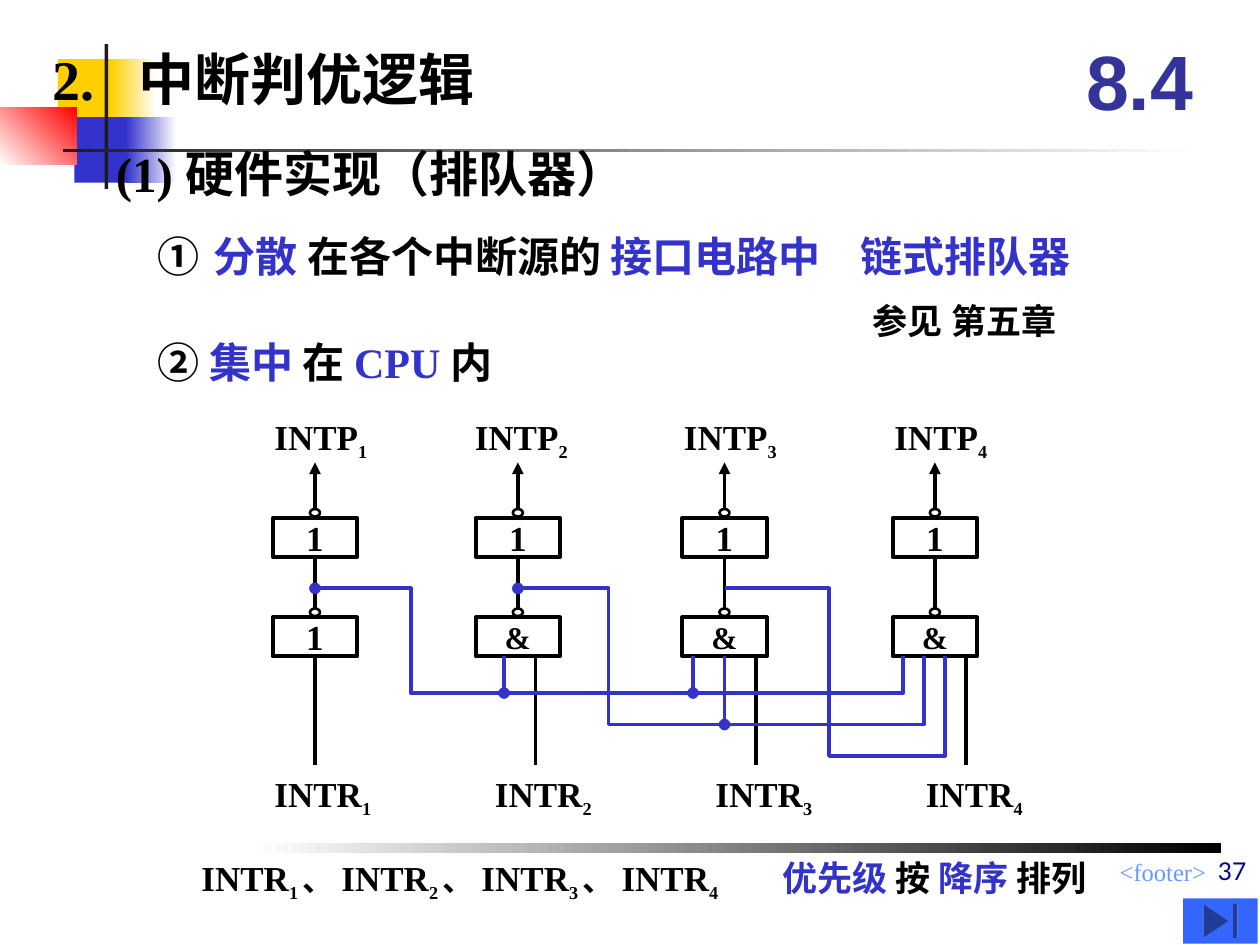
import pptx
import pptx.util
import pptx.dml.color
import pptx.enum.shapes
import pptx.enum.text
import pptx.oxml
import pptx.oxml.ns

Inches = pptx.util.Inches
PRESET = pptx.enum.shapes.MSO_SHAPE
ALIGN = pptx.enum.text.PP_ALIGN
ANCHOR = pptx.enum.text.MSO_ANCHOR
SERIF = "Times New Roman"
BLACK, BLUE, DARK, WHITE, GOLD = "000000", "3333CC", "1C1C1C", "FFFFFF", "FFCF01"

# left, top, width, height, colours, angle
DECOR = [
    (0.46, 0.47, 0.48, 0.52, [GOLD], None),
    (0.88, 0.47, 0.36, 0.52, [WHITE, GOLD], 180),
    (0.59, 0.93, 0.46, 0.52, [BLUE], None),
    (1, 0.93, 0.4, 0.52, [WHITE, BLUE], 180),
    (0, 0.85, 0.61, 0.46, ["FF0000", WHITE], 135),
    (0.83, 0.35, 0.03, 1.15, [DARK], None),
    (0.5, 1.18, 9, 0.03, [WHITE, DARK], 180),
    (2.02, 6.69, 7.67, 0.08, [BLACK, WHITE], 180),
]

HEADINGS = [
    ((0.42, 0.33, 4.25, 0.58), 0.68, [("2.\t中断判优逻辑", 32, BLACK)]),
    ((1.25, 1.67, 8.25, 0.58), 5.58, [
        ("①", 24, BLACK), (" ", 36, BLACK), ("分散 ", 24, BLUE),
        ("在各个中断源的 ", 24, BLACK), ("接口电路中\t链式排队器", 24, BLUE)]),
    ((1.25, 2.58, 5.75, 0.58), None, [
        ("② ", 24, BLACK), ("集中 ", 24, BLUE), ("在 ", 24, BLACK),
        ("CPU ", 24, BLUE), ("内", 24, BLACK)]),
    ((0.92, 1.08, 5.75, 0.58), None, [("(1) 硬件实现（排队器）", 28, BLACK)]),
]

# centre, input, lower gate, grant label left, request label left
CHANNELS = [
    (2.5, 2.5, "1", 2.08, 2.08),
    (4.11, 4.25, "&", 3.67, 3.83),
    (5.75, 6, "&", 5.33, 5.58),
    (7.42, 7.67, "&", 7, 7.25),
]
GATE_W, GATE_H = 0.67, 0.31
UPPER_Y, LOWER_Y = 4.11, 4.9
BUBBLE_W, BUBBLE_H = 0.08, 0.06
GRANT_Y, REQUEST_Y, INPUT_END = 3.25, 6.08, 6.07
TAP_Y, GATE_BOTTOM = 4.67, 5.21

# start, turn, bus level, end, dot at the start, branches
INHIBIT_WIRES = [
    (2.5, 3.26, 5.5, 7.17, True, [4, 5.5]),
    (4.11, 4.83, 5.75, 7.33, True, [5.75]),
    (5.75, 6.58, 6, 7.5, False, []),
]


def color(hex_text):
    return pptx.dml.color.RGBColor.from_string(hex_text)


def paint(part, colors, angle=None):
    part.shadow.inherit = False
    part.line.fill.background()
    if len(colors) == 1:
        part.fill.solid()
        part.fill.fore_color.rgb = color(colors[0])
        return
    part.fill.gradient()
    part.fill.gradient_angle = 360 - angle
    for stop, hex_text in zip(part.fill.gradient_stops, colors):
        stop.color.rgb = color(hex_text)


def stroke(part, hex_text, width, head=None, tail=None):
    part.line.color.rgb = color(hex_text)
    part.line.width = pptx.util.Pt(width)
    ln = part.line._get_or_add_ln()
    for tag, kind in (("a:headEnd", head), ("a:tailEnd", tail)):
        if kind:
            end = pptx.oxml.ns.qn(tag)
            ln.makeelement(end)
            pptx.oxml.parse_xml  # noqa
            ln.append(ln.makeelement(end, {"type": kind}))


def write(frame, runs, align=ALIGN.LEFT, anchor=ANCHOR.TOP, font=SERIF,
          bold=True, tab=None, side=0.1):
    frame.word_wrap = True
    frame.vertical_anchor = anchor
    frame.margin_left = frame.margin_right = Inches(side)
    paragraph = frame.paragraphs[0]
    paragraph.alignment = align
    if tab:
        properties = paragraph._p.get_or_add_pPr()
        stops = properties.makeelement(pptx.oxml.ns.qn("a:tabLst"))
        stops.append(stops.makeelement(
            pptx.oxml.ns.qn("a:tab"), {"pos": str(Inches(tab)), "algn": "l"}))
        properties.append(stops)
    for text, size, hex_text, *baseline in runs:
        run = paragraph.add_run()
        run.text = text
        run.font.name, run.font.bold = font, bold
        run.font.size = pptx.util.Pt(size)
        run.font.color.rgb = color(hex_text)
        if baseline:
            run._r.get_or_add_rPr().set("baseline", str(baseline[0] * 1000))


def label(shapes, box, runs, **style):
    write(shapes.add_textbox(*map(Inches, box)).text_frame, runs, **style)


def outlined(shapes, preset, box, width):
    part = shapes.add_shape(preset, *map(Inches, box))
    part.shadow.inherit = False
    part.fill.background()
    stroke(part, BLACK, width)
    return part


def wire(shapes, x, top, bottom, hex_text=BLACK, gate=None, tail=None):
    line = shapes.add_connector(pptx.enum.shapes.MSO_CONNECTOR.STRAIGHT,
                                *map(Inches, (x, top, x, bottom)))
    stroke(line, hex_text, 2.25, tail=tail)
    properties = line._element.spPr
    properties.append(properties.makeelement(pptx.oxml.ns.qn("a:effectLst")))
    if gate is not None:
        line.begin_connect(gate, 2)


def gate(shapes, x, y, symbol, size):
    part = outlined(shapes, PRESET.RECTANGLE, (x - GATE_W / 2, y, GATE_W, GATE_H), 2.25)
    write(part.text_frame, [(symbol, size, BLACK)], align=ALIGN.CENTER, anchor=ANCHOR.MIDDLE)
    outlined(shapes, PRESET.OVAL,
             (x - BUBBLE_W / 2, y - BUBBLE_H - 0.01, BUBBLE_W, BUBBLE_H), 1.5)
    return part


def signal(name, number, tail=""):
    return [(name, 20, BLACK), (f"{number}{tail}", 18, BLACK, -25)]


def add_channel(slide, number, x, input_x, symbol, grant_x, request_x):
    parts = slide.shapes.add_group_shape().shapes
    upper = gate(parts, x, UPPER_Y, "1", 20)
    lower = gate(parts, x, LOWER_Y, symbol, 20 if symbol == "1" else 18)
    wire(parts, x, UPPER_Y - BUBBLE_H - 0.01, 3.67, tail="triangle")
    wire(parts, x, UPPER_Y + GATE_H, LOWER_Y - BUBBLE_H, gate=upper)
    wire(parts, input_x, GATE_BOTTOM, INPUT_END, gate=lower if input_x == x else None)
    label(slide.shapes, (grant_x, GRANT_Y, 1.17, 0.47), signal("INTP", number))
    label(slide.shapes, (request_x, REQUEST_Y, 1.67, 0.47), signal("INTR", number))


def add_inhibit(shapes, start, turn, level, end, dot, branches):
    outline = shapes.build_freeform(Inches(start), Inches(TAP_Y))
    corners = [(turn, TAP_Y), (turn, level), (end, level), (end, GATE_BOTTOM)]
    outline.add_line_segments([tuple(map(Inches, corner)) for corner in corners], close=False)
    path_line = outline.convert_to_shape()
    path_line.shadow.inherit = False
    path_line.fill.background()
    stroke(path_line, BLUE, 2.25, head="oval" if dot else None)
    for x in branches:
        wire(shapes, x, GATE_BOTTOM, level, BLUE, tail="oval")


def main():
    deck = pptx.Presentation()
    deck.slide_width, deck.slide_height = Inches(10), Inches(7.5)
    slide = deck.slides.add_slide(deck.slide_layouts[6])
    shapes = slide.shapes
    for *box, colors, angle in DECOR:
        paint(shapes.add_shape(PRESET.RECTANGLE, *map(Inches, box)), colors, angle)
    label(shapes, (3.92, 6.75, 5.75, 0.26), [("<footer>", 14, "6699FF")],
          align=ALIGN.RIGHT, bold=False)
    for box, tab, runs in HEADINGS:
        label(shapes, box, runs, anchor=ANCHOR.MIDDLE, tab=tab, side=0)
    for number, channel in enumerate(CHANNELS, 1):
        add_channel(slide, number, *channel)
    for inhibit in INHIBIT_WIRES:
        add_inhibit(shapes, *inhibit)
    label(shapes, (6.83, 2.33, 2.58, 0.44), [("参见 第五章", 20, BLACK)])
    order = []
    for number in (1, 2, 3):
        order += signal("INTR", number, " ") + [("、 ", 18, BLACK)]
    order += signal("INTR", 4) + [("\t优先级 ", 20, BLUE), ("按 ", 20, BLACK),
                                  ("降序 ", 20, BLUE), ("排列", 20, BLACK)]
    label(shapes, (1.5, 6.75, 7.75, 0.6), order, tab=4.61)
    label(shapes, (8.42, 0.17, 1.25, 0.92), [("8.4", 44, "333399")],
          align=ALIGN.CENTER, anchor=ANCHOR.MIDDLE, font="Arial")
    button = shapes.add_shape(PRESET.ACTION_BUTTON_END, *map(Inches, (9.39, 7.13, 0.59, 0.36)))
    paint(button, ["3366FF"])
    label(shapes, (5.21, 6.58, 4.78, 0.5), [("37", 14, "000099")],
          align=ALIGN.RIGHT, anchor=ANCHOR.BOTTOM, font="Lato", bold=False)
    deck.save("out.pptx")


if __name__ == "__main__":
    main()
